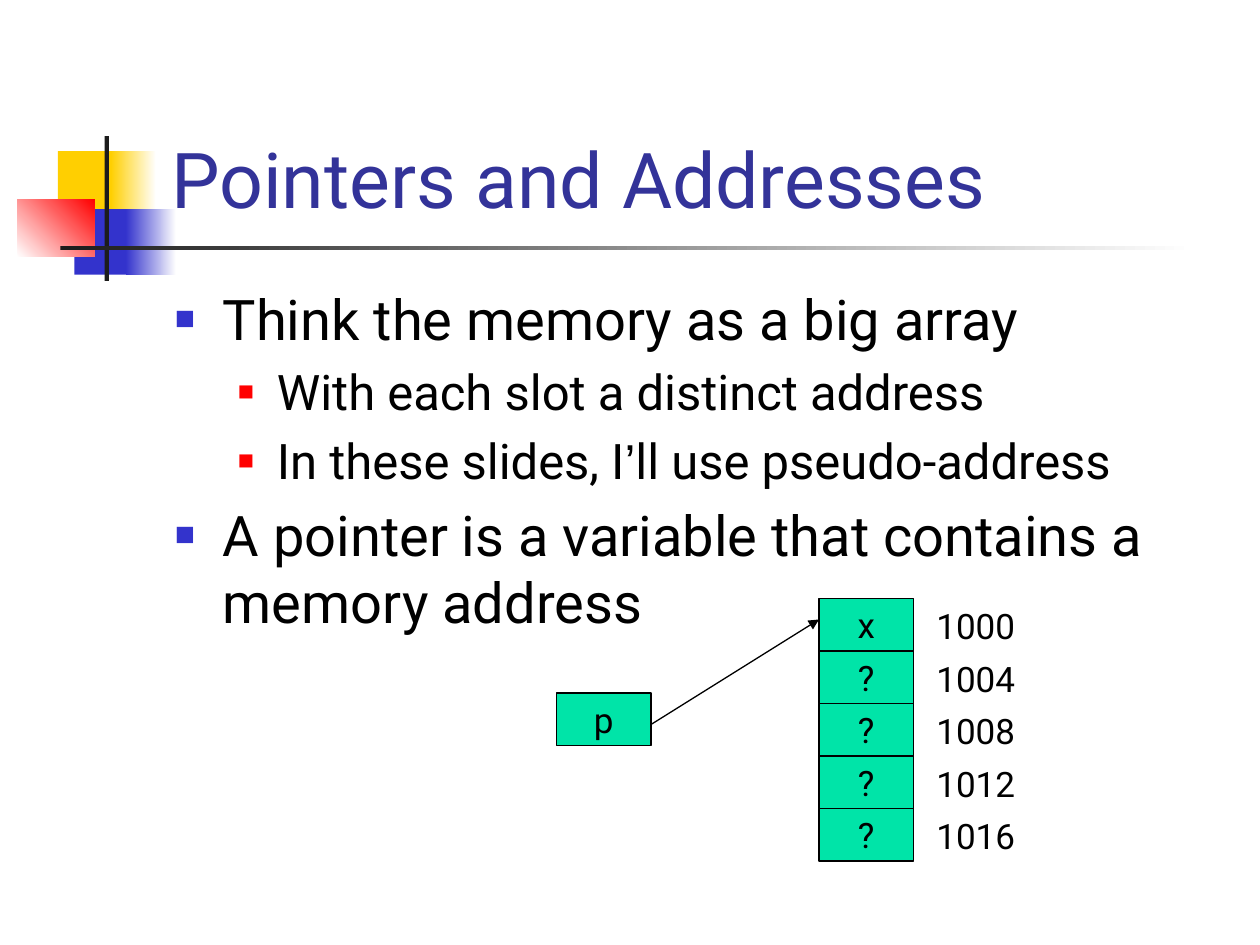
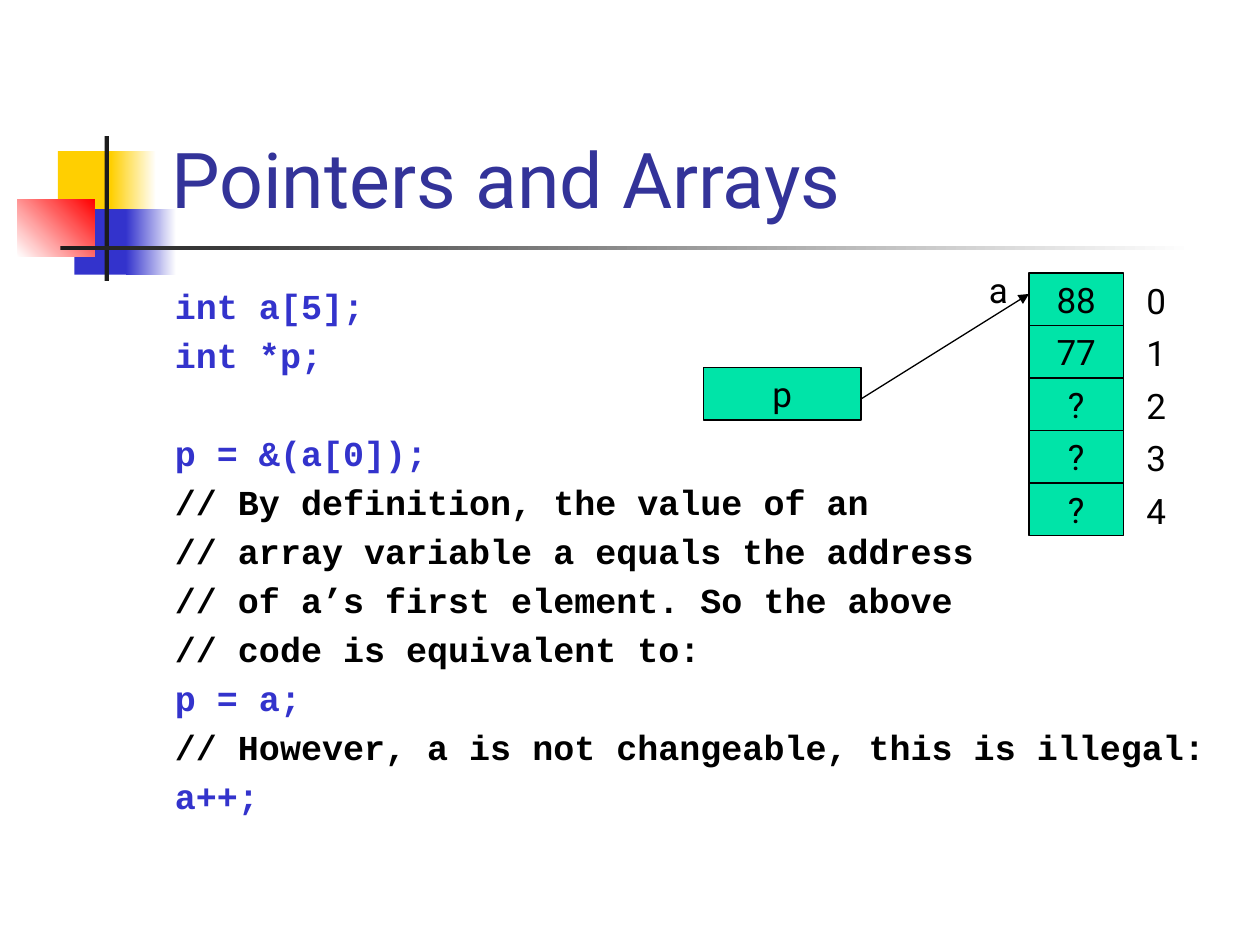
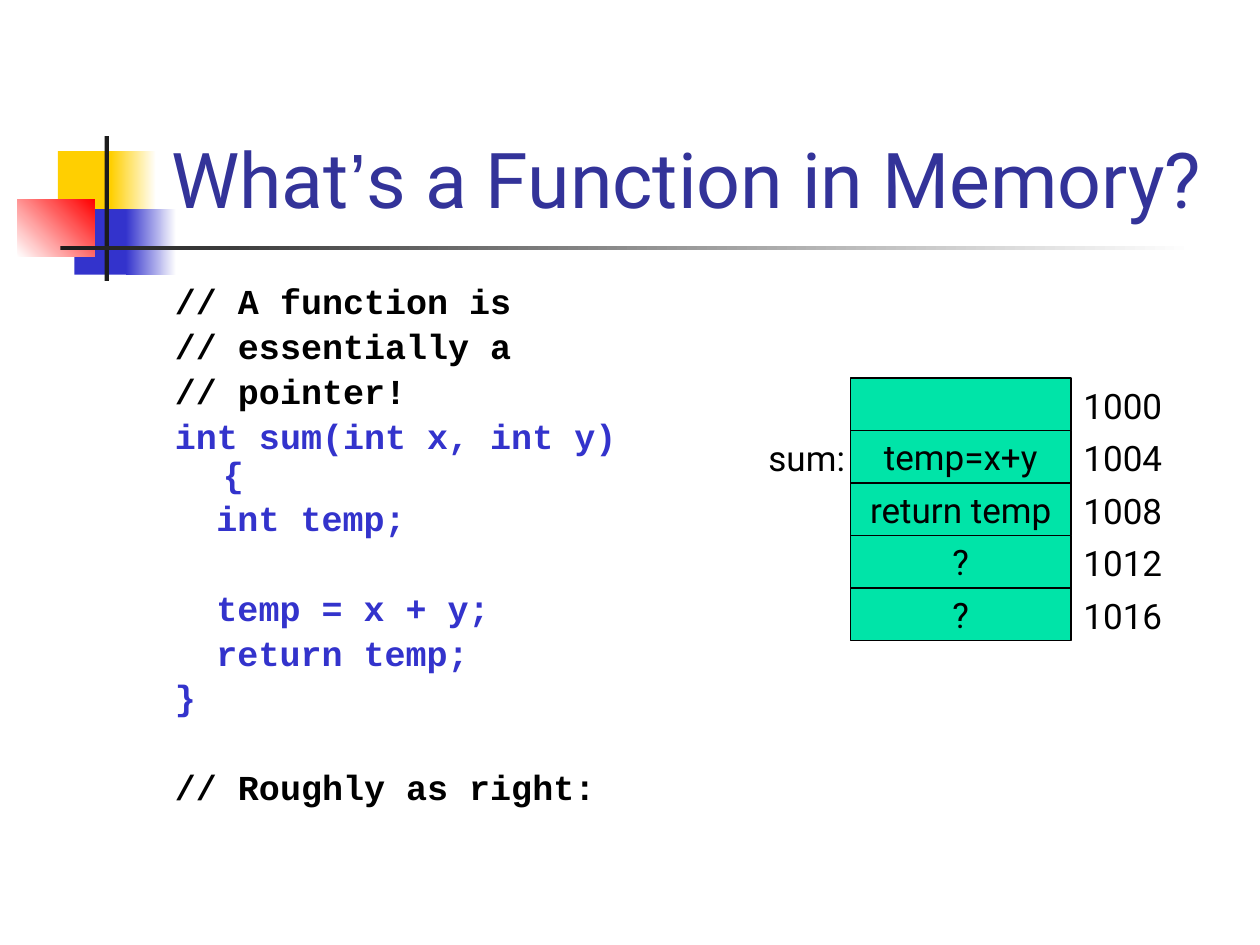
from dataclasses import dataclass
from typing import Optional

from lxml import etree
from pptx import Presentation
from pptx import util as u
from pptx.dml import color
from pptx.enum import shapes, text
from pptx.oxml import ns

COLORS = {
    "title": "333399", "ink": "000000", "code": "3333CC", "cell": "00E4A8",
    "yellow": "FFCF01", "blue": "3333CC", "red": "FF0000",
    "bar": "1C1C1C", "paper": "FFFFFF",
}
SANS, MONO, APOSTROPHE_FONT = "Roboto", "Courier New", "Arial"
WIDTH, HEIGHT = u.Inches(10), u.Inches(7.5)
COLUMNS, ROWS = 120, 90
CELL_ROWS, LABEL_ROWS = 5, 5.16


@dataclass(frozen=True)
class Box:
    left: float
    top: float
    width: float
    height: float

    def on_slide(self, columns: float, rows: float) -> tuple[int, ...]:
        across, down = WIDTH / columns, HEIGHT / rows
        return (round(self.left * across), round(self.top * down),
                round(self.width * across), round(self.height * down))


def share(left: float, top: float, width: float, height: float) -> tuple[int, ...]:
    return Box(left, top, width, height).on_slide(100, 100)


def grid(left: float, top: float, width: float, height: float) -> tuple[int, ...]:
    return Box(left, top, width, height).on_slide(COLUMNS, ROWS)


@dataclass(frozen=True)
class Band:
    place: tuple[int, ...]
    start: str
    end: Optional[str] = None
    angle: float = 0


@dataclass(frozen=True)
class Style:
    size: float
    color: str = "ink"
    font: str = SANS
    bold: bool = False


@dataclass(frozen=True)
class Bullet:
    color: str
    percent: int


@dataclass(frozen=True)
class Line:
    words: str
    style: Style
    bullet: Optional[Bullet] = None
    level: int = 0
    margin: float = 0.38
    indent: float = -0.38
    spacing: Optional[float] = None
    gap_after: float = 0


@dataclass(frozen=True)
class Memory:
    left: float
    top: float
    width: float
    values: list[str]
    labels: list[str]
    label_left: float
    label_width: float


BANDS = [
    Band(share(4.6, 16, 4.8, 6.93), "yellow"),
    Band(share(8.8, 16, 3.6, 6.93), "yellow", "paper"),
    Band(share(5.9, 22.13, 4.6, 6.93), "blue"),
    Band(share(10, 22.13, 4, 6.93), "blue", "paper"),
    Band(share(1.4, 21.07, 6.1, 6.13), "paper", "red", 45),
    Band(share(8.3, 14.4, 0.35, 15.33), "bar"),
    Band(share(4.8, 26, 90, 0.45), "bar", "paper"),
]
TITLE_PLACE = share(12.6, 3.07, 85.2, 21.33)
BODY_PLACE = share(12.9, 29.47, 85, 60)
HALF_BODY_PLACE = share(12.9, 29.47, 38.6, 60)
TITLE, LABEL = Style(44, "title"), Style(20)
CODE, COMMENT = Style(20, "code", MONO, True), Style(20, "ink", MONO, True)


def rgb(name: str) -> color.RGBColor:
    return color.RGBColor.from_string(COLORS[name])


def add_run(paragraph, words: str, style: Style, font: str) -> None:
    run = paragraph.add_run()
    run.text = words
    run.font.name = font
    run.font.size = u.Pt(style.size)
    run.font.bold = style.bold
    run.font.color.rgb = rgb(style.color)


def add_words(paragraph, words: str, style: Style) -> None:
    if style.font != SANS:
        add_run(paragraph, words, style, style.font)
        return
    before, apostrophe, after = words.partition("’")
    for part, font in ((before, SANS), (apostrophe, APOSTROPHE_FONT), (after, SANS)):
        if part:
            add_run(paragraph, part, style, font)


def add_textbox(slide, place: tuple[int, ...]):
    frame = slide.shapes.add_textbox(*place).text_frame
    frame.word_wrap = True
    return frame


def add_label(slide, place: tuple[int, ...], words: str) -> None:
    add_words(add_textbox(slide, place).paragraphs[0], words, LABEL)


def add_band(slide, band: Band) -> None:
    shape = slide.shapes.add_shape(shapes.MSO_SHAPE.RECTANGLE, *band.place)
    shape.shadow.inherit = False
    shape.line.fill.background()
    if band.end is None:
        shape.fill.solid()
        shape.fill.fore_color.rgb = rgb(band.start)
        return
    shape.fill.gradient()
    shape.fill.gradient_angle = band.angle
    for stop, name in zip(shape.fill.gradient_stops, (band.start, band.end)):
        stop.color.rgb = rgb(name)


def add_slide(presentation, title: str):
    slide = presentation.slides.add_slide(presentation.slide_layouts[6])
    for band in BANDS:
        add_band(slide, band)
    frame = add_textbox(slide, TITLE_PLACE)
    frame.vertical_anchor = text.MSO_ANCHOR.BOTTOM
    add_words(frame.paragraphs[0], title, TITLE)
    return slide


def format_paragraph(paragraph, line: Line) -> None:
    paragraph.level = line.level
    paragraph.space_before = u.Pt(0)
    if line.spacing:
        paragraph.line_spacing = line.spacing
    if line.gap_after:
        paragraph.space_after = u.Pt(line.gap_after)
    properties = paragraph._p.get_or_add_pPr()
    properties.set("marL", str(u.Inches(line.margin)))
    properties.set("indent", str(u.Inches(line.indent)))
    before = properties.find(ns.qn("a:spcBef"))
    before.remove(before[0])
    etree.SubElement(before, ns.qn("a:spcPct"), val="20000")
    if line.bullet:
        tint = etree.SubElement(properties, ns.qn("a:buClr"))
        etree.SubElement(tint, ns.qn("a:srgbClr"), val=COLORS[line.bullet.color])
        etree.SubElement(properties, ns.qn("a:buSzPct"), val=str(line.bullet.percent * 1000))
        etree.SubElement(properties, ns.qn("a:buFont"), typeface="Arial")
        etree.SubElement(properties, ns.qn("a:buChar"), char="■")


def add_body(slide, place: tuple[int, ...], lines: list[Line]) -> None:
    frame = add_textbox(slide, place)
    for index, line in enumerate(lines):
        paragraph = frame.add_paragraph() if index else frame.paragraphs[0]
        format_paragraph(paragraph, line)
        add_words(paragraph, line.words, line.style)


def add_cell(slide, place: tuple[int, ...], words: str) -> None:
    shape = slide.shapes.add_shape(shapes.MSO_SHAPE.RECTANGLE, *place)
    shape.shadow.inherit = False
    shape.fill.solid()
    shape.fill.fore_color.rgb = rgb("cell")
    shape.line.color.rgb = rgb("ink")
    shape.line.width = u.Pt(0.75)
    frame = shape.text_frame
    frame.word_wrap = False
    frame.vertical_anchor = text.MSO_ANCHOR.MIDDLE
    if words:
        paragraph = frame.paragraphs[0]
        paragraph.alignment = text.PP_ALIGN.CENTER
        add_words(paragraph, words, LABEL)


def add_memory(slide, memory: Memory) -> None:
    for index, (value, label) in enumerate(zip(memory.values, memory.labels)):
        top = memory.top + index * CELL_ROWS
        add_cell(slide, grid(memory.left, top, memory.width, CELL_ROWS), value)
        add_label(slide, grid(memory.label_left, top, memory.label_width, LABEL_ROWS), label)


def add_pointer(slide, left: float, width: float, memory: Memory) -> None:
    top = memory.top + 9
    add_cell(slide, grid(left, top, width, CELL_ROWS), "p")
    start = grid(left + width, top + 3, 0, 0)[:2]
    end = grid(memory.left, memory.top + 2, 0, 0)[:2]
    arrow = slide.shapes.add_connector(shapes.MSO_CONNECTOR.STRAIGHT, *start, *end)
    arrow.line.color.rgb = rgb("ink")
    arrow.line.width = u.Pt(0.75)
    etree.SubElement(arrow.line._get_or_add_ln(), ns.qn("a:tailEnd"), type="triangle")
    etree.SubElement(arrow._element.spPr, ns.qn("a:effectLst"))


def topic(words: str) -> Line:
    return Line(words, Style(32), Bullet("blue", 60))


def detail(words: str) -> Line:
    return Line(words, Style(28), Bullet("red", 55), 1, 0.81, -0.31)


def code(words: str, gap_after: float = 0) -> Line:
    style = COMMENT if words.startswith("//") else CODE
    return Line(words, style, gap_after=gap_after)


def tight_code(words: str, gap_after: float = 0, nested: bool = False) -> Line:
    style = COMMENT if words.startswith("//") else CODE
    indent = -0.05 if nested else -0.38
    return Line(words, style, indent=indent, spacing=0.9, gap_after=gap_after)


def build_addresses(presentation) -> None:
    slide = add_slide(presentation, "Pointers and Addresses")
    add_body(slide, BODY_PLACE, [
        topic("Think the memory as a big array"),
        detail("With each slot a distinct address"),
        detail("In these slides, I’ll use pseudo-address"),
        topic("A pointer is a variable that contains a memory address"),
    ])
    memory = Memory(78, 57, 9, ["x", "?", "?", "?", "?"], ADDRESSES, 88, 17)
    add_memory(slide, memory)
    add_pointer(slide, 53, 9, memory)


def build_arrays(presentation) -> None:
    slide = add_slide(presentation, "Pointers and Arrays")
    add_body(slide, BODY_PLACE, [
        code("int a[5];"),
        code("int *p;", gap_after=28),
        code("p = &(a[0]);"),
        code("// By definition, the value of an"),
        code("// array variable a equals the address"),
        code("// of a’s first element. So the above"),
        code("// code is equivalent to:"),
        code("p = a;"),
        code("// However, a is not changeable, this is illegal:"),
        code("a++;"),
    ])
    indexes = [str(index) for index in range(5)]
    memory = Memory(98, 26, 9, ["88", "77", "?", "?", "?"], indexes, 108, 6)
    add_memory(slide, memory)
    add_pointer(slide, 67, 15, memory)
    add_label(slide, grid(93, 25, 6, LABEL_ROWS), "a")


def build_function(presentation) -> None:
    slide = add_slide(presentation, "What’s a Function in Memory?")
    add_body(slide, HALF_BODY_PLACE, [
        tight_code("// A function is"),
        tight_code("// essentially a"),
        tight_code("// pointer!"),
        tight_code("int sum(int x, int y){"),
        tight_code("int temp;", gap_after=25.5, nested=True),
        tight_code("temp = x + y;", nested=True),
        tight_code("return temp;", nested=True),
        tight_code("}", gap_after=25.5),
        tight_code("// Roughly as right:"),
    ])
    values = ["", "temp=x+y", "return temp", "?", "?"]
    add_memory(slide, Memory(81, 36, 21, values, ADDRESSES, 102, 10))
    add_label(slide, grid(72, 41, 10, LABEL_ROWS), "sum:")


ADDRESSES = [str(address) for address in range(1000, 1020, 4)]


def main() -> None:
    presentation = Presentation()
    presentation.slide_width, presentation.slide_height = WIDTH, HEIGHT
    for build in (build_addresses, build_arrays, build_function):
        build(presentation)
    presentation.save("out.pptx")


main()
